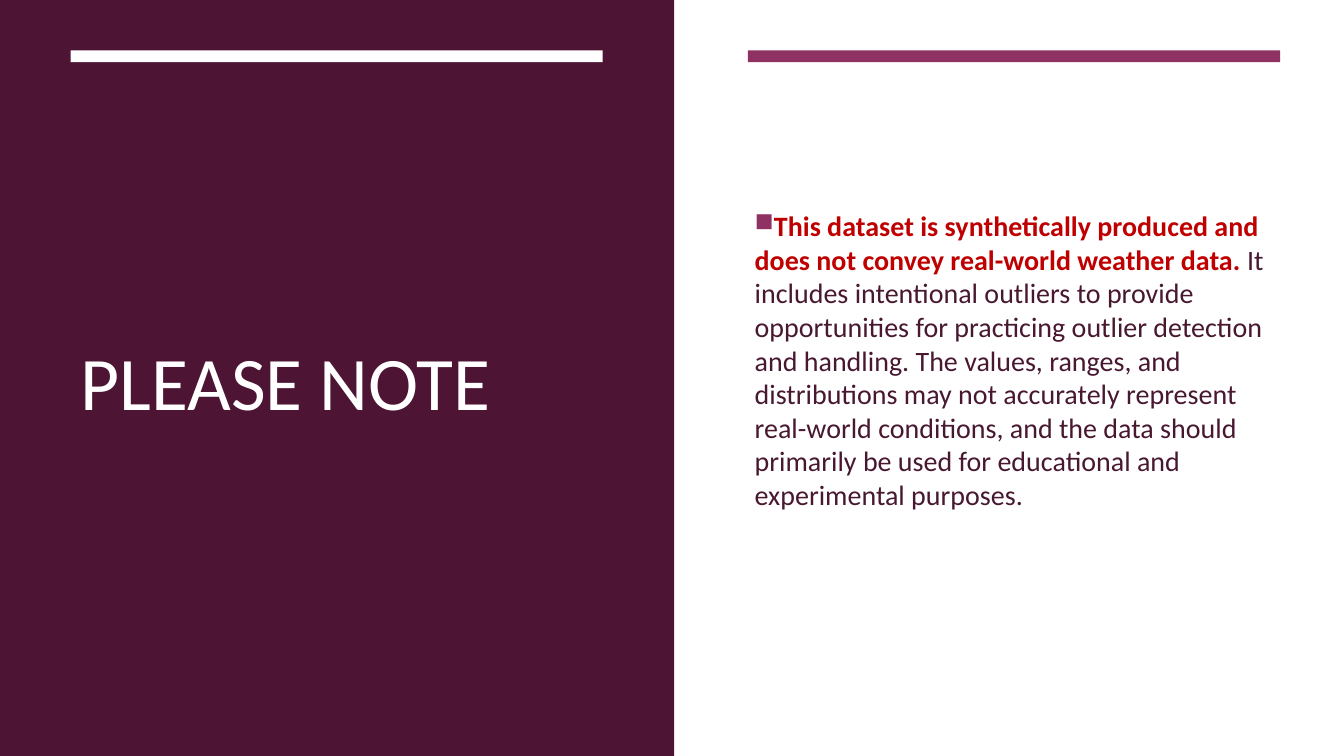
import dataclasses

import lxml.etree
import pptx
import pptx.dml.color
import pptx.enum.shapes
import pptx.enum.text
import pptx.oxml.ns
import pptx.util

Cm = pptx.util.Cm
Pt = pptx.util.Pt

HUES = {
    "white": "FFFFFF",
    "plum": "4D1434",
    "rose": "903163",
    "red": "C00000",
    "ink": "481831",
}


@dataclasses.dataclass
class Box:
    left: float
    top: float
    width: float
    height: float


@dataclasses.dataclass
class Block:
    box: Box
    hue: str


@dataclasses.dataclass
class Piece:
    text: str
    size: int
    hue: str
    bold: bool = False


BAR_TOP, BAR_WIDTH, BAR_HEIGHT = 1.27, 13.41, 0.3
TEXT_TOP = 2.87

BLOCKS = [
    Block(Box(0, 0, 33.87, 19.05), "white"),
    Block(Box(0, 0, 16.99, 19.05), "plum"),
    Block(Box(1.78, BAR_TOP, BAR_WIDTH, BAR_HEIGHT), "white"),
    Block(Box(18.85, BAR_TOP, BAR_WIDTH, BAR_HEIGHT), "rose"),
]

TITLE = [Piece("PLEASE NOTE", 54, "white")]
NOTE = [
    Piece(
        "This dataset is synthetically produced and does not convey "
        "real-world weather data. ", 20, "red", True),
    Piece(
        "It includes intentional outliers to provide opportunities for "
        "practicing outlier detection and handling. The values, ranges, and "
        "distributions may not accurately represent real-world conditions, "
        "and the data should primarily be used for educational and "
        "experimental purposes.", 20, "ink"),
]


def tint(hue: str) -> pptx.dml.color.RGBColor:
    return pptx.dml.color.RGBColor.from_string(HUES[hue])


def place(box: Box) -> list[int]:
    return [Cm(size) for size in dataclasses.astuple(box)]


def draw_block(slide, block: Block) -> None:
    kind = pptx.enum.shapes.MSO_SHAPE.RECTANGLE
    shape = slide.shapes.add_shape(kind, *place(block.box))
    shape.shadow.inherit = False
    shape.fill.solid()
    shape.fill.fore_color.rgb = tint(block.hue)
    shape.line.fill.background()


def draw_text(slide, box: Box, pieces: list[Piece]):
    frame = slide.shapes.add_textbox(*place(box)).text_frame
    frame.word_wrap = True
    frame.vertical_anchor = pptx.enum.text.MSO_ANCHOR.MIDDLE
    para = frame.paragraphs[0]
    for piece in pieces:
        run = para.add_run()
        run.text = piece.text
        run.font.name = "Calibri"
        run.font.size = Pt(piece.size)
        run.font.bold = piece.bold
        run.font.color.rgb = tint(piece.hue)
    return para


def add_mark(para, sign: str, hue: str, scale: int) -> None:
    props = para._p.get_or_add_pPr()
    props.set("marL", "0")
    props.set("indent", "0")
    name = pptx.oxml.ns.qn
    shade = lxml.etree.SubElement(props, name("a:buClr"))
    lxml.etree.SubElement(shade, name("a:srgbClr"), val=HUES[hue])
    lxml.etree.SubElement(props, name("a:buSzPct"), val=str(scale * 1000))
    lxml.etree.SubElement(props, name("a:buChar"), char=sign)


def main() -> None:
    deck = pptx.Presentation()
    deck.slide_width = Cm(33.87)
    deck.slide_height = Cm(19.05)
    slide = deck.slides.add_slide(deck.slide_layouts[6])
    for block in BLOCKS:
        draw_block(slide, block)
    draw_text(slide, Box(1.78, TEXT_TOP, BAR_WIDTH, BAR_WIDTH), TITLE)
    note = draw_text(slide, Box(18.77, TEXT_TOP, 13.49, 12.4), NOTE)
    add_mark(note, "■", "rose", 92)
    deck.save("out.pptx")


if __name__ == "__main__":
    main()
